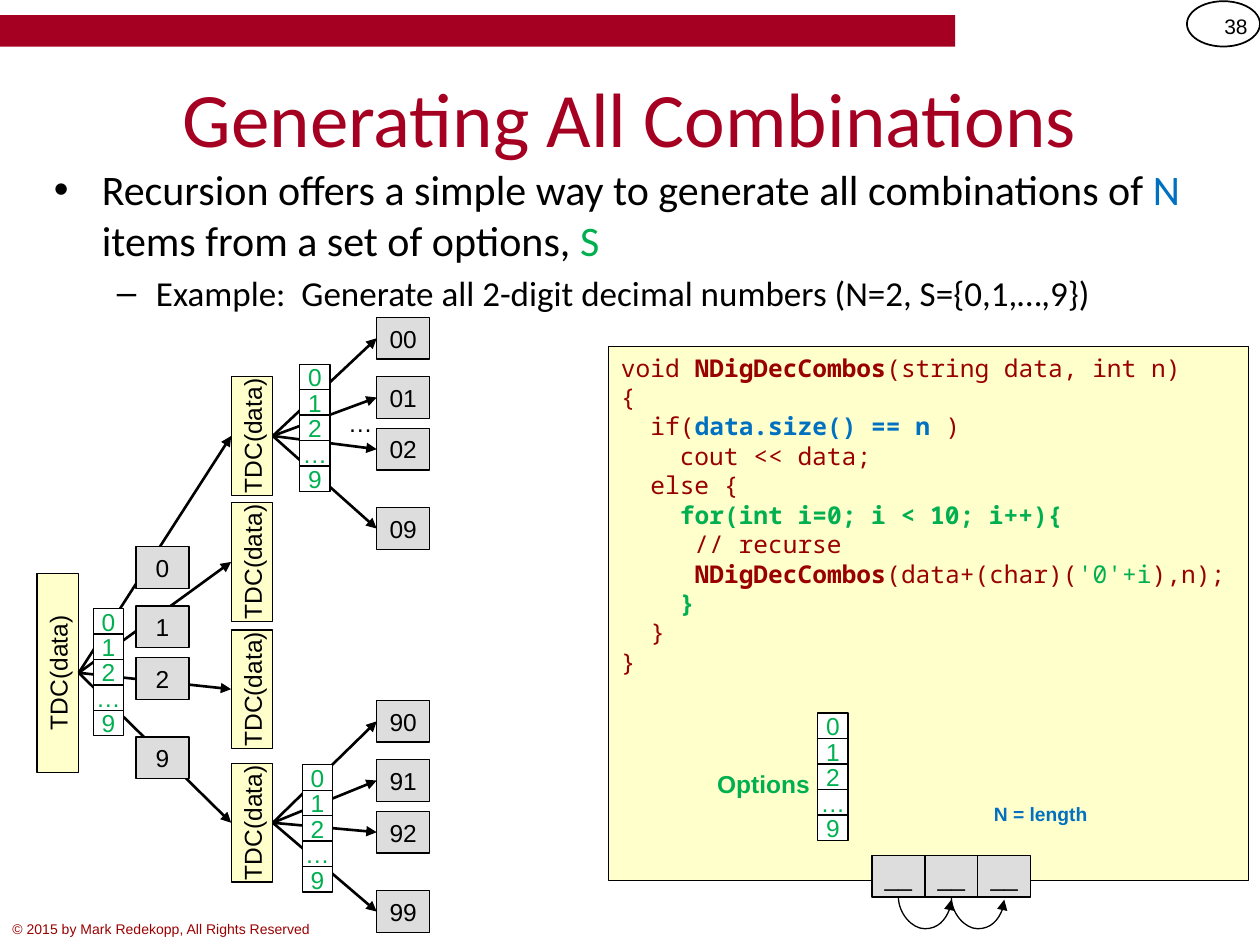
from lxml.etree import SubElement
from pptx import Presentation
from pptx.dml.color import RGBColor
from pptx.enum.shapes import MSO_CONNECTOR, MSO_SHAPE
from pptx.enum.text import MSO_ANCHOR, PP_ALIGN
from pptx.oxml.ns import qn
from pptx.util import Inches, Pt

# The slide is a grid of 100 columns by 75 rows; all lengths are in cells
COLUMNS, ROWS = 100, 75
BLACK = RGBColor(0x00, 0x00, 0x00)
WHITE = RGBColor(0xFF, 0xFF, 0xFF)
CRIMSON = RGBColor(0xA5, 0x00, 0x21)
MAROON = RGBColor(0x99, 0x00, 0x00)
CREAM = RGBColor(0xFF, 0xFF, 0xCC)
GRAY = RGBColor(0xDD, 0xDD, 0xDD)
BLUE = RGBColor(0x00, 0x70, 0xC0)
GREEN = RGBColor(0x00, 0xB0, 0x50)

TOP, LEFT, BOTTOM = 0, 1, 2  # connection sites
CHOICES = ["0", "1", "2", "…", "9"]
DIGITS = ["0", "1", "2", "9"]
DIGIT_ROWS = [0, 4.7, 8.8, 15.1]
BOX_WIDTH, BOX_HEIGHT = 4.2, 3.3
STRIP_WIDTH, STRIP_PITCH = 2.4, 2.02

# Each code line is a list of (text, colour, bold) spans
CODE = [
    [("void ", MAROON, False), ("NDigDecCombos", MAROON, True),
     ("(string data, int n)", MAROON, False)],
    [("{", MAROON, False)],
    [("  if(", MAROON, False), ("data.size() == n ", BLUE, True), (")", MAROON, False)],
    [("    cout << data;", MAROON, False)],
    [("  else {", MAROON, False)],
    [("    ", MAROON, False), ("for(int i=0; i < 10; i++){", GREEN, True)],
    [("     // recurse", MAROON, False)],
    [("     ", MAROON, False), ("NDigDecCombos", MAROON, True),
     ("(data+(char)(", MAROON, False), ("'0'+i", GREEN, False), ("),n);", MAROON, False)],
    [("    ", MAROON, False), ("}", GREEN, True)],
    [("  }", MAROON, False)],
    [("}", MAROON, False)],
]


def cells(*counts):
    return [Inches(count / 10) for count in counts]


def style_font(font, size, color, name="Arial", bold=False):
    font.name, font.size, font.bold = name, Pt(size), bold
    font.color.rgb = color


def add_spans(para, spans, size, name):
    for text, color, bold in spans:
        span = para.add_run()
        span.text = text
        style_font(span.font, size, color, name, bold)


def add_label(slide, area, text="", size=14, color=BLACK, name="Arial", bold=False,
              align=PP_ALIGN.CENTER, anchor=MSO_ANCHOR.MIDDLE, wrap=True):
    box = slide.shapes.add_textbox(*cells(*area))
    frame = box.text_frame
    frame.word_wrap, frame.vertical_anchor = wrap, anchor
    if text:
        frame.text = text
        frame.paragraphs[0].alignment = align
        style_font(frame.paragraphs[0].runs[0].font, size, color, name, bold)
    return box


def add_block(slide, area, fill=None, line=0.75, kind=MSO_SHAPE.RECTANGLE):
    box = slide.shapes.add_shape(kind, *cells(*area))
    box.shadow.inherit = False
    if fill is None:
        box.fill.background()
    else:
        box.fill.solid()
        box.fill.fore_color.rgb = fill
    if line:
        box.line.color.rgb, box.line.width = BLACK, Pt(line)
    else:
        box.line.fill.background()
    return box


def add_text_block(slide, area, text, fill=GRAY, color=BLACK):
    box = add_block(slide, area, fill)
    frame = box.text_frame
    frame.margin_left = frame.margin_right = 0
    frame.vertical_anchor = MSO_ANCHOR.MIDDLE
    frame.text = text
    frame.paragraphs[0].alignment = PP_ALIGN.CENTER
    style_font(frame.paragraphs[0].runs[0].font, 14, color)
    return box


def add_call(slide, center_column, center_row, length):
    """A function call box, turned to read upwards."""
    area = (center_column - length / 2, center_row - BOX_HEIGHT / 2, length, BOX_HEIGHT)
    box = add_text_block(slide, area, "TDC(data)", CREAM)
    box.rotation = 270
    return box


def add_digit_boxes(slide, column, row, prefix=""):
    return [add_text_block(slide, (column, row + offset, BOX_WIDTH, BOX_HEIGHT), prefix + digit)
            for digit, offset in zip(DIGITS, DIGIT_ROWS)]


def add_strip(slide, column, row):
    for index, choice in enumerate(CHOICES):
        area = (column, row + index * STRIP_PITCH, STRIP_WIDTH, STRIP_PITCH)
        add_text_block(slide, area, choice, WHITE, GREEN)


def finish_arrow(arrow, width):
    arrow.line.color.rgb, arrow.line.width = BLACK, Pt(width)
    SubElement(arrow.line._get_or_add_ln(), qn("a:tailEnd"), type="triangle")
    SubElement(arrow._element.spPr, qn("a:effectLst"))


def side_point(box, right):
    """Middle of the left or right side as seen, also for a turned box."""
    width = box.height if box.rotation else box.width
    middle = box.left + box.width // 2
    return middle + (width // 2 if right else -width // 2), box.top + box.height // 2


def add_branches(slide, call, targets):
    for target in targets:
        arrow = slide.shapes.add_connector(MSO_CONNECTOR.STRAIGHT, 0, 0, 0, 0)
        arrow.begin_connect(call, BOTTOM)
        arrow.end_connect(target, TOP if target.rotation else LEFT)
        # Turned boxes have their sites moved by the rotation
        arrow.begin_x, arrow.begin_y = side_point(call, True)
        arrow.end_x, arrow.end_y = side_point(target, False)
        finish_arrow(arrow, 1.5)


def add_hop(slide, column, row):
    """A U-shaped arrow that hangs under two neighbouring places."""
    rise, depth = 0.2, 2.5
    left = column + (BOX_WIDTH - rise) / 2
    top = row + (rise - BOX_WIDTH) / 2
    arrow = slide.shapes.add_connector(
        MSO_CONNECTOR.CURVE, *cells(left, top, left + rise, top + BOX_WIDTH))
    frame = arrow._element.spPr.find(qn("a:xfrm"))
    frame.set("rot", str(270 * 60000))
    frame.set("flipH", "1")
    guides = arrow._element.spPr.find(qn("a:prstGeom")).find(qn("a:avLst"))
    SubElement(guides, qn("a:gd"), name="adj1", fmla=f"val {round(depth / rise * 100000)}")
    finish_arrow(arrow, 0.75)


def add_bullet(para, mark, indent, hanging):
    properties = para._p.get_or_add_pPr()
    properties.set("marL", str(Inches(indent)))
    properties.set("indent", str(-Inches(hanging)))
    SubElement(properties, qn("a:buFont"), typeface="Arial")
    SubElement(properties, qn("a:buChar"), char=mark)


def add_page_frame(slide):
    add_block(slide, (0, 1.2, 75.8, 2.5), CRIMSON, line=0)
    add_block(slide, (94.2, 0.1, 5.8, 3.6), line=1, kind=MSO_SHAPE.OVAL)
    add_label(slide, (94.2, 0.1, 5.8, 4), "38", 12, align=PP_ALIGN.RIGHT)
    add_label(slide, (0, 72.6, 53.3, 2.4), "© 2015 by Mark Redekopp, All Rights Reserved",
              8, MAROON, align=PP_ALIGN.LEFT, anchor=MSO_ANCHOR.TOP)
    add_label(slide, (5, 3, 90, 12.5), "Generating All Combinations", 44, CRIMSON, "Calibri")


def add_body(slide):
    frame = add_label(slide, (3.3, 12.5, 93.3, 15), anchor=MSO_ANCHOR.TOP).text_frame
    para = frame.paragraphs[0]
    add_bullet(para, "•", 0.38, 0.38)
    add_spans(para, [("Recursion offers a simple way to generate all combinations of ", BLACK, False),
                     ("N", BLUE, False), (" items from a set of options, ", BLACK, False),
                     ("S", GREEN, False)], 24, "Calibri")
    para = frame.add_paragraph()
    para.level = 1
    add_bullet(para, "–", 0.81, 0.31)
    para.space_before = Pt(4)
    add_spans(para, [("Example:  Generate all 2-digit decimal numbers (N=2, S={0,1,…,9})",
                      BLACK, False)], 20, "Calibri")


def add_code_panel(slide):
    frame = add_block(slide, (48.3, 27.5, 50.8, 42.4), CREAM).text_frame
    frame.vertical_anchor = MSO_ANCHOR.TOP
    for index, spans in enumerate(CODE):
        para = frame.add_paragraph() if index else frame.paragraphs[0]
        para.alignment = PP_ALIGN.LEFT
        add_spans(para, spans, 14, "Noto Sans Mono")
    # Options and the places to fill
    add_label(slide, (55.8, 60.5, 9.6, 3.4), "Options", 14, GREEN, bold=True, wrap=False)
    add_label(slide, (77.8, 62.9, 9.6, 3.4), "N = length", 11, BLUE, bold=True, wrap=False)
    add_strip(slide, 64.9, 56.6)
    places = [69.2 + index * BOX_WIDTH for index in range(3)]
    for column in places:
        add_text_block(slide, (column, 67.9, BOX_WIDTH, BOX_HEIGHT), "__")
    for column in places[:-1]:
        add_hop(slide, column + BOX_WIDTH / 2, 71.2)


def add_call_tree(slide):
    # Calls first, then arrows, then the boxes that lie over the arrows
    root = add_call(slide, 4.6, 53.4, 15.8)
    calls = [add_call(slide, 20, row, 9.4) for row in (34.6, 44.6, 54.7, 65.3)]
    add_branches(slide, root, calls)
    add_digit_boxes(slide, 10.8, 43.4)
    add_strip(slide, 7.4, 48.3)
    for call, prefix, row, strip_column, strip_row in (
            (calls[0], "0", 25.2, 23.8, 28.9), (calls[-1], "9", 55.6, 24, 60.7)):
        add_branches(slide, call, add_digit_boxes(slide, 29.9, row, prefix))
        add_strip(slide, strip_column, strip_row)
    add_label(slide, (25.1, 31.9, 7, 3.3), "…")


def main():
    deck = Presentation()
    deck.slide_width, deck.slide_height = cells(COLUMNS, ROWS)
    page = deck.slides.add_slide(deck.slide_layouts[6])
    add_page_frame(page)
    add_body(page)
    add_code_panel(page)
    add_call_tree(page)
    deck.save("out.pptx")


if __name__ == "__main__":
    main()
